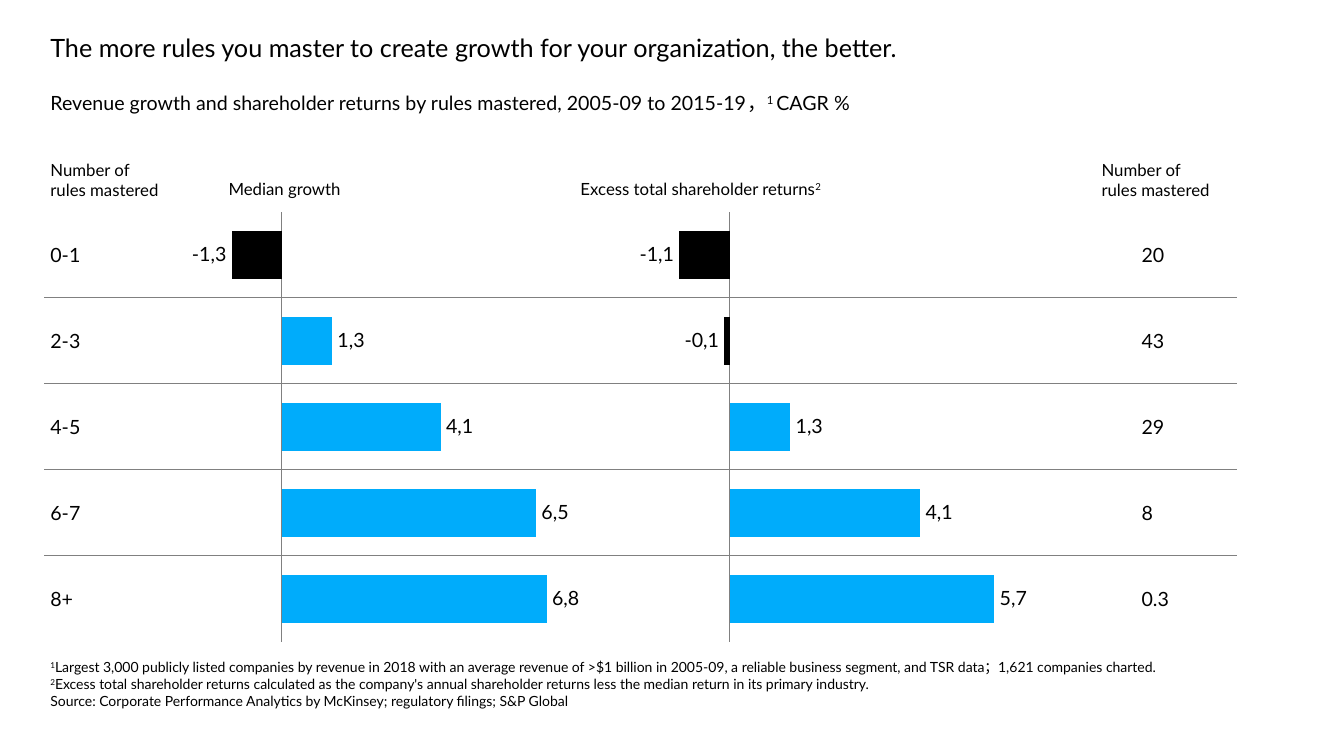
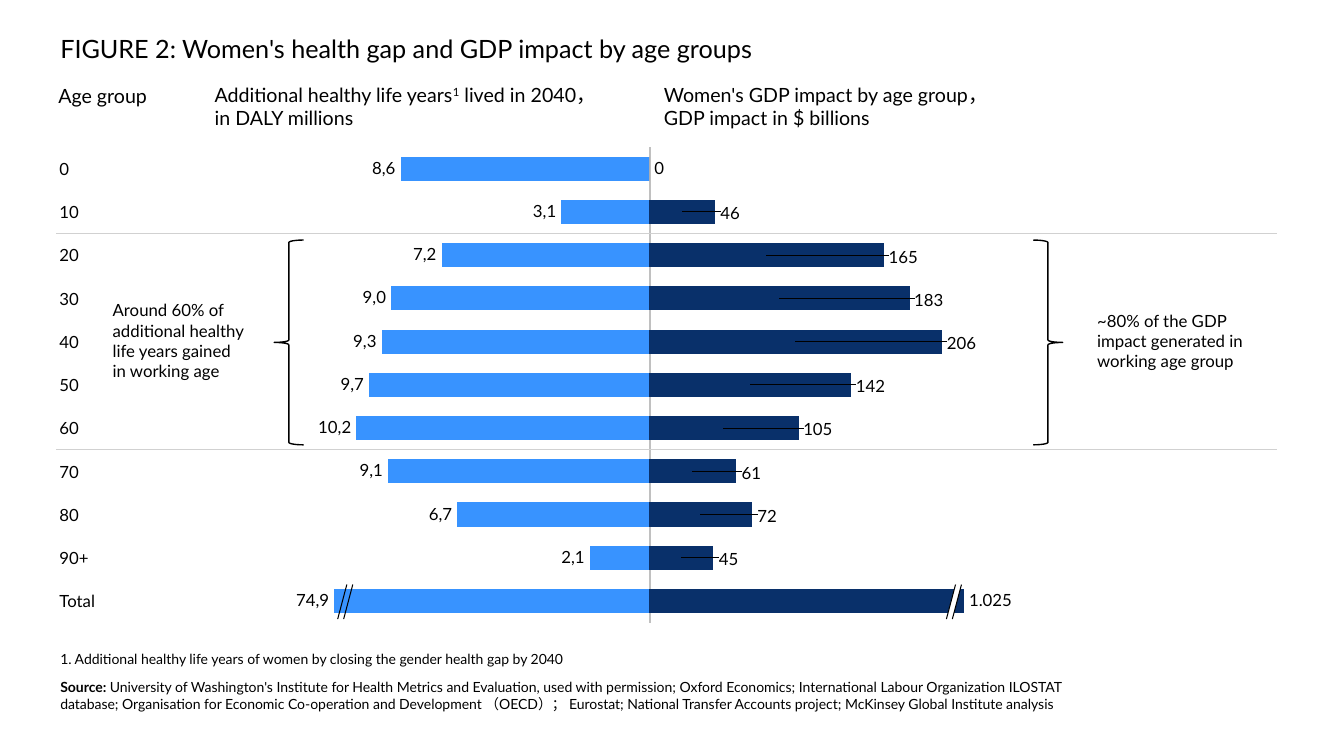
from dataclasses import dataclass, field
from typing import NamedTuple

from lxml.etree import SubElement
from pptx import Presentation
from pptx.chart.data import CategoryChartData
from pptx.dml.color import RGBColor
from pptx.enum.chart import XL_CHART_TYPE, XL_LABEL_POSITION, XL_TICK_LABEL_POSITION, XL_TICK_MARK
from pptx.enum.shapes import MSO_CONNECTOR, MSO_SHAPE
from pptx.enum.text import MSO_ANCHOR, PP_ALIGN
from pptx.oxml import parse_xml
from pptx.oxml.ns import nsdecls, qn
from pptx.slide import Slide
from pptx.util import Cm, Pt

# Shared look
BLACK = RGBColor(0x00, 0x00, 0x00)
WHITE = RGBColor(0xFF, 0xFF, 0xFF)
SKY = RGBColor(0x00, 0xAC, 0xFB)
BLUE = RGBColor(0x38, 0x93, 0xFF)
NAVY = RGBColor(0x09, 0x30, 0x6A)
GRAY = RGBColor(0x80, 0x80, 0x80)
SILVER = RGBColor(0xC0, 0xC0, 0xC0)
PALE = RGBColor(0xD1, 0xD1, 0xD1)
FONT = "Lato"
TITLE, HEADING, LABEL, NOTE = 18, 14, 12, 10
FULL_WIDTH = 31.6
LABEL_GAP = 0.13
CATEGORY_AXIS = {
    "reverse_order": True,
    "major_tick_mark": XL_TICK_MARK.NONE,
    "minor_tick_mark": XL_TICK_MARK.NONE,
    "tick_label_position": XL_TICK_LABEL_POSITION.NONE,
    "has_major_gridlines": False,
}


class Run(NamedTuple):
    text: str
    superscript: bool = False
    bold: bool = False


Line = str | list[Run]


@dataclass
class Text:
    """A block of lines; all lengths in centimetres."""
    left: float
    top: float
    lines: list[Line]
    size: int = LABEL
    width: float = FULL_WIDTH
    height: float = 1.0
    inset: float = 0.25
    frame_format: dict = field(default_factory=dict)
    paragraph_format: dict = field(default_factory=dict)


@dataclass
class Bars:
    """A bar chart whose plot area fixes rows and bar ends, in centimetres."""
    left: float
    top: float
    width: float
    height: float
    plot: tuple[float, float, float, float]
    names: list[str]
    values: list[int]
    color: RGBColor
    low: int
    high: int
    axis_color: RGBColor
    axis_weight: float
    mirrored: bool = False

    def edge(self, row: int) -> float:
        pitch = self.plot[3] * self.height / len(self.values)
        return self.top + self.plot[1] * self.height + row * pitch

    def middle(self, row: int) -> float:
        return (self.edge(row) + self.edge(row + 1)) / 2

    def bar_end(self, row: int) -> float:
        share = (self.values[row] - self.low) / (self.high - self.low)
        share = 1 - share if self.mirrored else share
        return self.left + (self.plot[0] + self.plot[2] * share) * self.width


def apply(target: object, values: dict) -> None:
    for name, value in values.items():
        setattr(target, name, value)


def draw_text(slide: Slide, text: Text) -> None:
    box = slide.shapes.add_textbox(Cm(text.left), Cm(text.top), Cm(text.width), Cm(text.height))
    frame = box.text_frame
    apply(frame, {"word_wrap": True, "margin_left": Cm(text.inset),
                  "margin_right": Cm(text.inset)} | text.frame_format)
    for number, line in enumerate(text.lines):
        paragraph = frame.paragraphs[0] if number == 0 else frame.add_paragraph()
        apply(paragraph, text.paragraph_format)
        for part in [Run(line)] if isinstance(line, str) else line:
            run = paragraph.add_run()
            run.text = part.text
            apply(run.font, {"name": FONT, "size": Pt(text.size), "bold": part.bold})
            run.font.color.rgb = BLACK
            if part.superscript:
                run._r.get_or_add_rPr().set("baseline", "30000")


def draw_line(slide: Slide, start: tuple[float, float], end: tuple[float, float],
              color: RGBColor, weight: float) -> None:
    line = slide.shapes.add_connector(MSO_CONNECTOR.STRAIGHT, *map(Cm, start + end))
    line.line.color.rgb = color
    line.line.width = Pt(weight)
    SubElement(line._element.spPr, qn("a:effectLst"))


def draw_bars(slide: Slide, bars: Bars):
    data = CategoryChartData()
    data.categories = bars.names
    data.add_series("Series 1", bars.values)
    chart = slide.shapes.add_chart(
        XL_CHART_TYPE.BAR_STACKED, Cm(bars.left), Cm(bars.top), Cm(bars.width), Cm(bars.height), data
    ).chart
    apply(chart, {"has_legend": False, "has_title": False})
    apply(chart.font, {"name": FONT, "size": Pt(NOTE)})
    chart.font.color.rgb = BLACK
    apply(chart.category_axis, CATEGORY_AXIS)
    axis_line = chart.category_axis.format.line
    axis_line.color.rgb = bars.axis_color
    axis_line.width = Pt(bars.axis_weight)
    apply(chart.value_axis, {"minimum_scale": bars.low, "maximum_scale": bars.high,
                             "reverse_order": bars.mirrored, "has_major_gridlines": False,
                             "visible": False})
    apply(chart.plots[0], {"gap_width": 80, "overlap": 100, "vary_by_categories": False})
    series = chart.plots[0].series[0]
    series.invert_if_negative = False
    series.format.fill.solid()
    series.format.fill.fore_color.rgb = bars.color
    for row, value in enumerate(bars.values):
        if value < 0:
            fill = series.points[row].format.fill
            fill.solid()
            fill.fore_color.rgb = BLACK

    # Fixed inner plot area
    sides = "".join(f'<c:{name} val="{share}"/>' for name, share in zip("xywh", bars.plot))
    plot_area = chart._chartSpace.chart.plotArea
    for old in plot_area.findall(qn("c:layout")):
        plot_area.remove(old)
    plot_area.insert(0, parse_xml(
        f'<c:layout {nsdecls("c")}><c:manualLayout><c:layoutTarget val="inner"/>'
        f'<c:xMode val="edge"/><c:yMode val="edge"/>{sides}</c:manualLayout></c:layout>'))
    return series


def draw_value(slide: Slide, bars: Bars, row: int, value: str, size: int) -> None:
    """Write a value just beyond the end of its bar."""
    width, height = 1.6, 0.6
    leftward = bars.mirrored or bars.values[row] < 0
    end = bars.bar_end(row)
    left = end - LABEL_GAP - width if leftward else end + LABEL_GAP
    draw_text(slide, Text(
        left, bars.middle(row) - height / 2, [value], size, width, height, 0,
        {"vertical_anchor": MSO_ANCHOR.MIDDLE, "margin_top": 0, "margin_bottom": 0},
        {"alignment": PP_ALIGN.RIGHT if leftward else PP_ALIGN.LEFT, "line_spacing": 0.9}))


def draw_column(slide: Slide, bars: Bars, left: float, entries: list[str], size: int) -> None:
    """Write one entry beside each bar row."""
    height = 0.86
    for row, entry in enumerate(entries):
        draw_text(slide, Text(left, bars.middle(row) - height / 2, [entry], size, 3, height,
                              frame_format={"vertical_anchor": MSO_ANCHOR.MIDDLE}))


def label_bars(series, bars: Bars, rows: range) -> None:
    """Move the chart's own labels from bar centres to beyond bar ends."""
    for row in rows:
        label = series.points[row].data_label
        apply(label.font, {"name": FONT, "size": Pt(LABEL)})
        label.font.color.rgb = BLACK
        label.position = XL_LABEL_POSITION.CENTER
        text_half = 0.056 if bars.values[row] >= 100 else 0.045
        shift = round(bars.plot[2] * bars.values[row] / bars.high / 2 + text_half, 3)
        element = label._get_or_add_dLbl()
        element.insert(1, parse_xml(
            f'<c:layout {nsdecls("c")}><c:manualLayout><c:x val="{shift}"/>'
            f'<c:y val="0.002"/></c:manualLayout></c:layout>'))
    series.data_labels.show_value = False


def draw_break(slide: Slide, left: float, hollow: bool) -> None:
    """Two slashes across a shortened bar."""
    top, bottom, slant, gap = 14.73, 15.6, 0.23, 0.15
    if hollow:
        corners = [(left + slant + gap, top), (left + gap, bottom), (left, bottom), (left + slant, top)]
        points = [(Cm(x), Cm(y)) for x, y in corners]
        builder = slide.shapes.build_freeform(*points[0], scale=1.0)
        builder.add_line_segments(points[1:], close=True)
        cut = builder.convert_to_shape()
        cut.shadow.inherit = False
        cut.fill.solid()
        cut.fill.fore_color.rgb = WHITE
        cut.line.fill.background()
    for x in (left, left + gap):
        draw_line(slide, (x + slant, top), (x, bottom), BLACK, 0.75)


def draw_brace(slide: Slide, kind: MSO_SHAPE, left: float) -> None:
    brace = slide.shapes.add_shape(kind, Cm(left), Cm(6.05), Cm(0.74), Cm(5.16))
    brace.shadow.inherit = False
    brace.fill.background()
    brace.line.color.rgb = BLACK
    brace.line.width = Pt(1)


def build_growth(slide: Slide) -> None:
    mastered = ["Number of", "rules mastered"]
    texts = [
        Text(1.02, 0.69, ["The more rules you master to create growth for your organization, the better."], TITLE),
        Text(1.02, 2.16, [[Run("Revenue growth and shareholder returns by rules mastered, 2005-09 to 2015-19，"),
                           Run("1 ", superscript=True), Run("CAGR %")]], HEADING),
        Text(1.02, 3.89, mastered, width=4),
        Text(27.51, 3.89, mastered, width=4),
        Text(5.51, 4.39, ["Median growth"], width=5),
        Text(14.38, 4.39, [[Run("Excess total shareholder returns"), Run("2", superscript=True)]], width=9),
        Text(1.02, 16.48, [
            [Run("1", superscript=True),
             Run("Largest 3,000 publicly listed companies by revenue in 2018 with an average revenue of "
                 ">$1 billion in 2005-09, a reliable business segment, and TSR data；1,621 companies charted.")],
            [Run("2", superscript=True),
             Run("Excess total shareholder returns calculated as the company's annual shareholder returns "
                 "less the median return in its primary industry.")],
            "Source: Corporate Performance Analytics by McKinsey; regulatory filings; S&P Global"], NOTE),
    ]
    for text in texts:
        draw_text(slide, text)

    # Two bar charts on the same rows
    rules = ["0-1", "2-3", "4-5", "6-7", "8+"]
    panels = [
        (5.61, [-19, 19, 60, 96, 100], ["-1,3", "1,3", "4,1", "6,5", "6,8"]),
        (16.89, [-19, -2, 23, 72, 100], ["-1,1", "-0,1", "1,3", "4,1", "5,7"]),
    ]
    for left, lengths, values in panels:
        bars = Bars(left, 5.11, 8.41, 11.3, (0.027, 0.02, 0.945, 0.959), rules, lengths,
                    SKY, -19, 100, GRAY, 0.75)
        draw_bars(slide, bars)
        for row, value in enumerate(values):
            draw_value(slide, bars, row, value, HEADING)

    # Side columns and row dividers
    draw_column(slide, bars, 1.02, rules, HEADING)
    draw_column(slide, bars, 28.52, ["20", "43", "29", "8", "0.3"], HEADING)
    for row in range(1, len(rules)):
        draw_line(slide, (1.12, bars.edge(row)), (31.18, bars.edge(row)), GRAY, 1)


def build_health_gap(slide: Slide) -> None:
    texts = [
        Text(1.27, 0.71, ["FIGURE 2: Women's health gap and GDP impact by age groups"], TITLE),
        Text(1.22, 1.98, ["Age group"], HEADING, 4),
        Text(5.16, 1.96, [[Run("Additional healthy life years"), Run("1", superscript=True),
                           Run(" lived in 2040，")], "in DALY millions"], HEADING, 11),
        Text(16.48, 1.96, ["Women's GDP impact by age group，", "GDP impact in $ billions"], HEADING, 11),
        Text(2.59, 7.44, ["Around 60% of", "additional healthy", "life years gained", "in working age"], width=4.3),
        Text(27.4, 7.7, ["~80% of the GDP", "impact generated in", "working age group"], width=5),
        Text(1.27, 16.26, ["1. Additional healthy life years of women by closing the gender health gap by 2040"], NOTE),
        Text(1.27, 16.97, [
            [Run("Source: ", bold=True),
             Run("University of Washington's Institute for Health Metrics and Evaluation, used with permission; "
                 "Oxford Economics; International Labour Organization ILOSTAT")],
            "database; Organisation for Economic Co-operation and Development （OECD）； Eurostat; "
            "National Transfer Accounts project; McKinsey Global Institute analysis"], NOTE),
    ]
    for text in texts:
        draw_text(slide, text)

    # Life years to the left, GDP impact to the right
    ages = [str(age) for age in range(0, 90, 10)] + ["90+", "Total"]
    years = Bars(8.2, 3.48, 8.41, 12.45, (0.027, 0.018, 0.945, 0.963), ages,
                 [79, 28, 66, 82, 85, 89, 93, 83, 61, 19, 100], BLUE, 0, 100, SILVER, 0.25, mirrored=True)
    impact = Bars(16.13, 2.97, 8.61, 13.46, (0.027, 0.055, 0.921, 0.89), ages,
                  [0, 46, 165, 183, 206, 142, 105, 61, 72, 45, 221], NAVY, 0, 221, SILVER, 0.25)
    draw_bars(slide, years)
    label_bars(draw_bars(slide, impact), impact, range(1, 10))
    for row, value in enumerate(["8,6", "3,1", "7,2", "9,0", "9,3", "9,7", "10,2", "9,1", "6,7", "2,1", "74,9"]):
        draw_value(slide, years, row, value, LABEL)
    for row, value in ((0, "0"), (10, "1.025")):
        draw_value(slide, impact, row, value, LABEL)
    draw_column(slide, years, 1.25, ages, LABEL)

    # Working-age band and shortened totals
    for row in (2, 7):
        draw_line(slide, (1.42, years.edge(row)), (32.18, years.edge(row)), PALE, 1)
    draw_brace(slide, MSO_SHAPE.LEFT_BRACE, 6.91)
    draw_brace(slide, MSO_SHAPE.RIGHT_BRACE, 26.04)
    draw_break(slide, 8.51, hollow=False)
    draw_break(slide, 23.85, hollow=True)


def main() -> None:
    deck = Presentation()
    apply(deck, {"slide_width": Cm(33.87), "slide_height": Cm(19.05)})
    for build in (build_growth, build_health_gap):
        build(deck.slides.add_slide(deck.slide_layouts[6]))
    deck.save("out.pptx")


if __name__ == "__main__":
    main()
